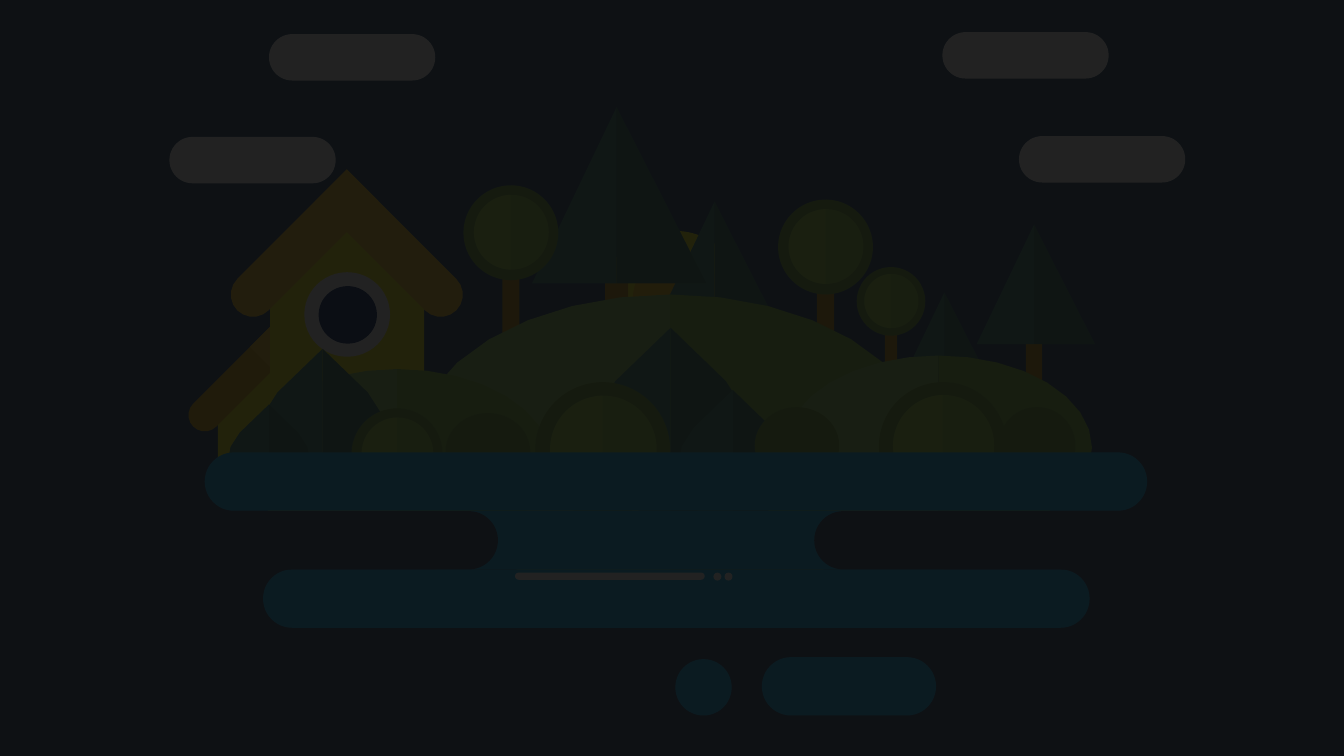
from math import cos, pi, sin

from lxml.etree import SubElement
from pptx import Presentation
from pptx.dml.color import RGBColor
from pptx.enum.shapes import MSO_SHAPE as Preset
from pptx.oxml.ns import qn
from pptx.util import Cm

NIGHT, VEIL, WATER, WHITE = "1A4164", "0D0D0D", "00B0F0", "FFFFFF"
YELLOW, SUN_CORE, BARK, WINDOW = "FFFF00", "FFC000", "BF9000", "002060"
ROOF, ROOF_SHADE = "FFC715", "E6AF00"
LEAF, LEAF_LIGHT = "6BA42C", "A0DF39"
HALVES = ((-1, "33856A", "92D050"), (1, "2B6F58", "7CBF33"))


def rgb(hex_color):
    """Turn a hex string into a colour."""
    return RGBColor.from_string(hex_color)


def arc(cx, cy, rx, ry, start, end, steps=10):
    """List points along an elliptical arc between two angles."""
    angles = (start + (end - start) * i / steps for i in range(steps + 1))
    return [(cx + rx * cos(a), cy + ry * sin(a)) for a in angles]


BUSH_HALF = [(0, 0), (0, 1), (-0.11, 0.99), (-0.21, 0.94), (-0.3, 0.87), (-0.38, 0.74),
             (-0.41, 0.58), (-0.38, 0.42), (-0.29, 0.28)]


class Landscape:
    """Hold the slide and draw the parts of the scene, in centimetres."""

    def __init__(self, slide):
        """Set the night background."""
        self.slide = slide
        self.shapes = slide.shapes
        slide.background.fill.solid()
        slide.background.fill.fore_color.rgb = rgb(NIGHT)

    def open_group(self):
        """Collect the next parts in a new group."""
        self.shapes = self.slide.shapes.add_group_shape().shapes

    def close_group(self):
        """Return to the slide itself."""
        self.shapes = self.slide.shapes

    def paint(self, part, color, opacity=None):
        """Give a part a flat fill with no outline or shadow."""
        part.shadow.inherit = False
        part.line.fill.background()
        part.fill.solid()
        part.fill.fore_color.rgb = rgb(color)
        if opacity is not None:
            tint = next(part.element.iter(qn("a:srgbClr")))
            SubElement(tint, qn("a:alpha")).set("val", str(opacity * 1000))
        return part

    def preset(self, kind, left, top, width, height, color, opacity=None):
        """Draw a preset shape."""
        part = self.shapes.add_shape(kind, Cm(left), Cm(top), Cm(width), Cm(height))
        return self.paint(part, color, opacity)

    def ellipse(self, left, top, width, height, color):
        """Draw an ellipse."""
        self.preset(Preset.OVAL, left, top, width, height, color)

    def pill(self, left, top, width, height, color):
        """Draw a bar with fully rounded ends."""
        bar = self.preset(Preset.ROUNDED_RECTANGLE, left, top, width, height, color)
        bar.adjustments[0] = 0.5

    def outline(self, points, color, opacity=None):
        """Draw a closed free outline."""
        start, *rest = [(Cm(x), Cm(y)) for x, y in points]
        builder = self.shapes.build_freeform(*start, scale=1.0)
        builder.add_line_segments(rest, close=True)
        self.paint(builder.convert_to_shape(), color, opacity)

    def trunk(self, center, top, width, height):
        """Draw a trunk centred below a crown."""
        self.preset(Preset.RECTANGLE, center - width / 2, top, width, height, BARK)

    def conifer(self, x, top, height, trunk_width, trunk_height):
        """Draw a two-tone fir tree."""
        self.open_group()
        self.trunk(x, top + 0.85 * height, trunk_width, trunk_height)
        for side, needles, _ in HALVES:
            reach = (0.495 + 0.015 * side) * height
            base = top + height
            self.outline([(x, top), (x, base), (x + side * reach, base)], needles)
        self.close_group()

    def round_tree(self, left, top, size, has_trunk=False):
        """Draw a round crown with a shaded right half."""
        self.open_group()
        center = left + size / 2
        if has_trunk:
            self.trunk(center, top + 0.53 * size, 0.18 * size, 1.32 * size)
        self.ellipse(left, top, size, size, LEAF)
        self.ellipse(left + 0.11 * size, top + 0.1 * size, 0.79 * size, 0.79 * size,
                     LEAF_LIGHT)
        self.outline(arc(center, top + size / 2, 0.48 * size, size / 2, -pi / 2, pi / 2),
                     LEAF, 32)
        self.close_group()

    def hill(self, x, y, rx, ry):
        """Draw a two-tone hill."""
        self.open_group()
        for side, _, grass in HALVES:
            self.outline(arc(x, y, side * rx, ry, -pi / 2, pi / 2, 16), grass)
        self.close_group()

    def pointed_bush(self, x, top, height):
        """Draw a two-tone bush with a pointed top."""
        self.open_group()
        for side, needles, _ in HALVES:
            self.outline([(x - side * dx * height, top + dy * height)
                          for dx, dy in BUSH_HALF], needles)
        self.close_group()

    def roof(self, x, top, reach, depth, left_color):
        """Draw two sloping roof bars with round eaves."""
        radius = depth / 2 ** 0.5
        cap = arc(-reach + depth / 2, reach + depth / 2, radius, radius, pi / 4, 5 * pi / 4)
        bar = [(0, 0), (depth, depth)] + cap
        for side, color in ((1, left_color), (-1, ROOF)):
            self.outline([(x + side * dx, top + dy) for dx, dy in bar], color)


deck = Presentation()
deck.slide_width, deck.slide_height = Cm(33.87), Cm(19.05)
scene = Landscape(deck.slides.add_slide(deck.slide_layouts[6]))

scene.open_group()
scene.ellipse(15.32, 5.82, 3.4, 3.4, YELLOW)
scene.ellipse(15.95, 6.4, 2.24, 2.24, SUN_CORE)
scene.close_group()

for fir in ((23.8, 7.37, 2.06, 0.28, 2.03), (26.06, 5.66, 3.01, 0.41, 2.08),
            (18.01, 5.08, 3.02, 0.2, 2.08), (15.54, 2.7, 4.44, 0.58, 3.05)):
    scene.conifer(*fir)
for tree in ((21.59, 6.73, 1.73), (19.61, 5.03, 2.39), (11.68, 4.67, 2.39)):
    scene.round_tree(*tree, has_trunk=True)

scene.open_group()
scene.outline([(6.12, 9.3), (7.67, 9.3), (8.36, 9.6), (8.36, 11.89), (5.49, 11.89),
               (5.49, 9.58)], YELLOW)
scene.roof(6.88, 8.16, 2.01, 0.58, ROOF_SHADE)
scene.open_group()
scene.outline([(7.67, 5.44), (9.75, 5.44), (10.69, 6.35), (10.69, 12.93), (6.81, 12.93),
               (6.81, 6.25)], YELLOW)
scene.roof(8.74, 4.27, 2.76, 0.79, ROOF)
scene.ellipse(7.67, 6.86, 2.16, 2.13, WHITE)
scene.ellipse(8.03, 7.21, 1.47, 1.45, WINDOW)
scene.close_group()

for mound in ((16.89, 11.28, 6.45, 3.86), (23.65, 11.28, 3.87, 2.32),
              (10.01, 11.62, 3.87, 2.32)):
    scene.hill(*mound)
for cloud in ((4.27, 3.45), (6.78, 0.86), (25.68, 3.43), (23.75, 0.81)):
    scene.pill(*cloud, 4.19, 1.17, WHITE)

for bush in ((16.9, 8.26, 4.79), (18.47, 9.83, 3.38), (8.13, 8.79, 3.92),
             (6.78, 10.19, 2.55)):
    scene.pointed_bush(*bush)
for bush in ((13.49, 9.63, 3.4), (22.15, 9.63, 3.23), (8.86, 10.29, 2.29)):
    scene.round_tree(*bush)
for left, top, width in ((25.17, 10.26, 1.93), (19.02, 10.26, 2.13), (11.23, 10.41, 2.13)):
    scene.ellipse(left, top, width, 1.93, LEAF)

scene.open_group()
for left, top, width, color in (
        (5.16, 11.4, 23.75, WATER), (10.34, 12.88, 14.07, WATER),
        (6.63, 14.35, 20.83, WATER), (20.52, 12.88, 11.56, NIGHT),
        (0.99, 12.88, 11.56, NIGHT), (19.2, 16.56, 4.39, WATER)):
    scene.pill(left, top, width, 1.47, color)
scene.pill(12.98, 14.43, 4.78, 0.18, WHITE)
scene.ellipse(17.02, 16.61, 1.42, 1.42, WATER)
for glint in (17.98, 18.26):
    scene.ellipse(glint, 14.43, 0.2, 0.2, WHITE)
scene.close_group()

scene.preset(Preset.RECTANGLE, 0, 0, 33.87, 19.05, VEIL, 91)
deck.save("out.pptx")
